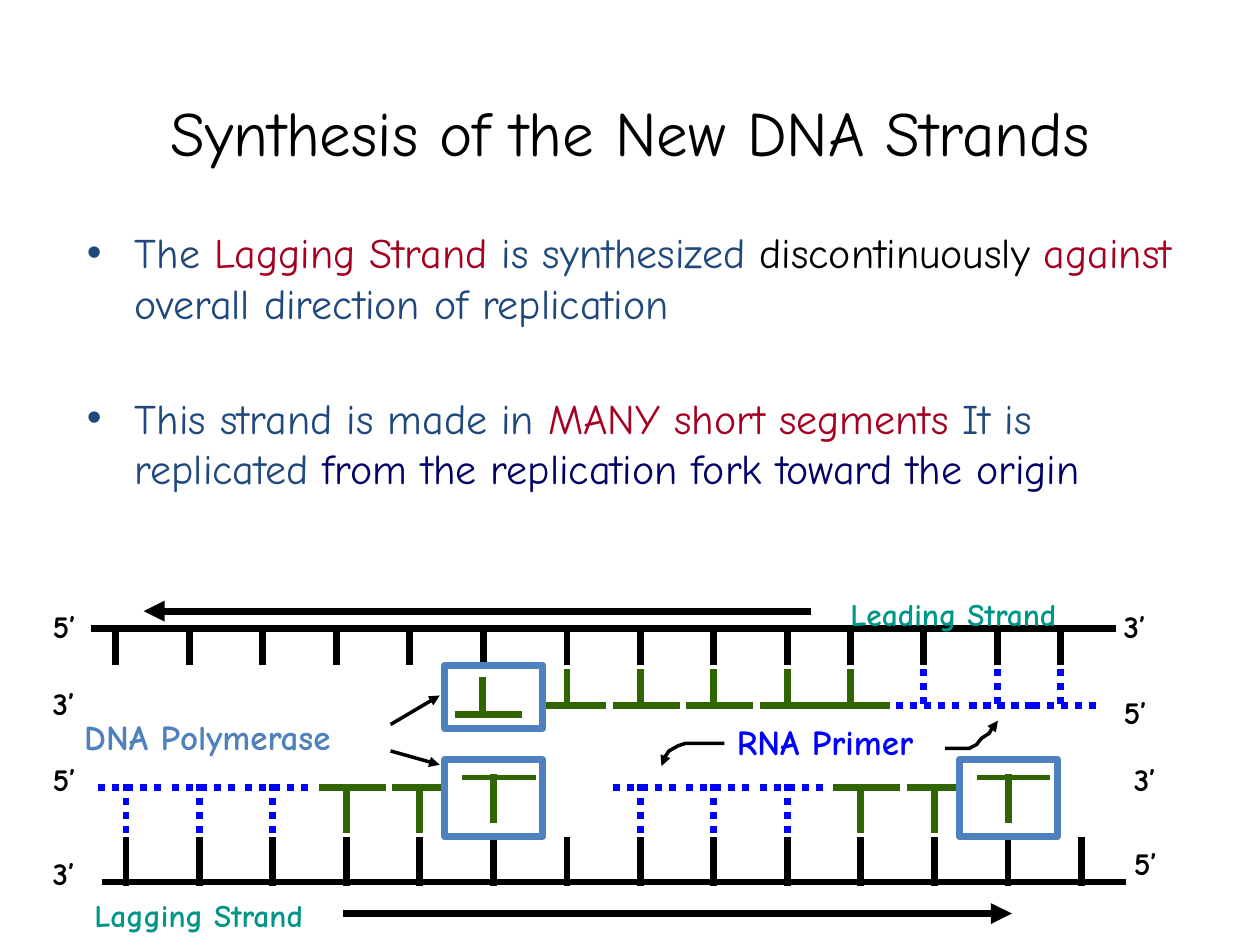
import pptx
import pptx.dml.color
import pptx.enum.dml
import pptx.enum.shapes
import pptx.enum.text
import pptx.oxml
import pptx.oxml.ns
import pptx.util
from pptx.util import Inches

FONT = "Comic Neue"
BLACK, GREEN, BLUE, STEEL, TEAL = "000000", "316501", "0000FF", "4F81BD", "009688"
NAVY, RED, INDIGO = "1F497D", "A50021", "000066"
PITCH = 7 / 12


def rgb(value):
    """Turn a hex string into a colour."""
    return pptx.dml.color.RGBColor.from_string(value)


def add_child(parent, tag, **attributes):
    """Append a drawing element with the given attributes."""
    child = pptx.oxml.parse_xml(f"<a:{tag} {pptx.oxml.ns.nsdecls('a')}/>")
    for key, value in attributes.items():
        child.set(key, value)
    parent.append(child)


def style_run(run, size, color, bold=False):
    """Format one run of text."""
    run.font.name = FONT
    run.font.size = pptx.util.Pt(size)
    run.font.bold = bold
    run.font.color.rgb = rgb(color)


def style_line(shape, color, weight, arrow=None):
    """Format a stroke; arrow names its pointed end, headEnd or tailEnd."""
    shape.line.color.rgb = rgb(color)
    shape.line.width = pptx.util.Pt(weight)
    if arrow:
        add_child(shape.line._get_or_add_ln(), arrow, type="triangle")


def add_line(slide, x1, y1, x2, y2, color=BLACK, weight=4, arrow=None, dotted=False):
    """Draw a straight line between two points in inches."""
    line = slide.shapes.add_connector(
        pptx.enum.shapes.MSO_CONNECTOR.STRAIGHT, Inches(x1), Inches(y1), Inches(x2), Inches(y2))
    style_line(line, color, weight)
    if dotted:
        line.line.dash_style = pptx.enum.dml.MSO_LINE.ROUND_DOT
    if arrow:
        add_child(line.line._get_or_add_ln(), arrow, type="triangle")
    add_child(line._element.spPr, "effectLst")


def add_label(slide, left, top, width, height, text, color=BLACK, size=18):
    """Place a bold one-line label."""
    label = slide.shapes.add_textbox(Inches(left), Inches(top), Inches(width), Inches(height))
    label.text_frame.word_wrap = False
    label.text_frame.text = text
    style_run(label.text_frame.paragraphs[0].runs[0], size, color, True)


def add_end(slide, left, top, text):
    """Mark a strand end as 5’ or 3’."""
    add_label(slide, left, top, 0.48, 0.5, text)


def add_curve(slide, left, top, offsets, arrow):
    """Draw a bent pointer through offsets from its box corner."""
    points = [(Inches(left + x), Inches(top + y)) for x, y in offsets]
    builder = slide.shapes.build_freeform(*points[0])
    builder.add_line_segments(points[1:], close=False)
    pointer = builder.convert_to_shape()
    pointer.shadow.inherit = False
    pointer.fill.background()
    style_line(pointer, BLACK, 2, arrow)


def add_nucleotides(slide, stems, bar, stem_top, stem_bottom, color):
    """Draw new bases as T shapes, dotted where they are primer."""
    dotted = color == BLUE
    for x in stems:
        add_line(slide, x, stem_top, x, stem_bottom, color, dotted=dotted)
        add_line(slide, x - 0.22, bar, x + 0.31, bar, color, dotted=dotted)


def add_polymerase(slide, left, top, height, bar, stem, weight):
    """Draw an enzyme box with one base; bar and stem are offsets in it."""
    enzyme = slide.shapes.add_shape(
        pptx.enum.shapes.MSO_SHAPE.RECTANGLE,
        Inches(left), Inches(top), Inches(0.78), Inches(height))
    enzyme.shadow.inherit = False
    enzyme.fill.solid()
    enzyme.fill.fore_color.rgb = rgb("FFFFFF")
    style_line(enzyme, STEEL, 4)
    bar_start, bar_end, bar_y = bar
    stem_x, stem_top, stem_bottom = stem
    add_line(slide, left + bar_start, top + bar_y, left + bar_end, top + bar_y, GREEN, weight)
    add_line(slide, left + stem_x, top + stem_top, left + stem_x, top + stem_bottom, GREEN)


def run_of(start, count):
    """List evenly pitched base positions."""
    return [start + PITCH * i for i in range(count)]


def add_title(slide, left, top, width, height):
    """Place the slide title."""
    title = slide.shapes.title
    title.left, title.top, title.width, title.height = map(Inches, (left, top, width, height))
    title.text_frame.text = "Synthesis of the New DNA Strands"
    title.text_frame.vertical_anchor = pptx.enum.text.MSO_ANCHOR.MIDDLE
    title.text_frame.paragraphs[0].alignment = pptx.enum.text.PP_ALIGN.CENTER
    style_run(title.text_frame.paragraphs[0].runs[0], 36, BLACK)


def add_bullets(slide, left, top, width, height):
    """Place the two bulleted statements."""
    statements = [
        [("The ", NAVY), ("Lagging Strand", RED), (" is synthesized ", NAVY),
         ("discontinuously ", BLACK), ("against", RED),
         (" overall direction of replication", NAVY)],
        [("This strand is made in ", NAVY), ("MANY short segments", RED),
         (" It is replicated ", NAVY),
         ("from the replication fork toward the origin", INDIGO)],
    ]
    body = slide.shapes.add_textbox(Inches(left), Inches(top), Inches(width), Inches(height))
    frame = body.text_frame
    frame.word_wrap = True
    for index, statement in enumerate(statements):
        paragraph = frame.add_paragraph() if index else frame.paragraphs[0]
        paragraph.space_before = pptx.util.Pt(37 if index else 4.8)
        properties = paragraph._p.get_or_add_pPr()
        properties.set("marL", str(Inches(0.38)))
        properties.set("indent", str(-Inches(0.38)))
        add_child(properties, "buFont", typeface="Arial")
        add_child(properties, "buChar", char="•")
        for text, color in statement:
            run = paragraph.add_run()
            run.text = text
            style_run(run, 24, color)


def add_leading_strand(slide, left, top):
    """Draw the upper duplex from its top left corner."""
    strand, bar = top + 0.32, top + 0.93
    primer = [*run_of(left + 7.01, 2), left + 7.6, left + 8.1]
    grown = [*run_of(left + 4.18, 4), left + 6.43]
    add_line(slide, left + 8.54, strand, left + 0.4, strand)
    for x in run_of(left + 0.6, 6) + grown + primer:
        add_line(slide, x, top + 0.61, x, top + 0.29)
    add_line(slide, left + 6.12, top + 0.18, left + 0.82, top + 0.18, arrow="tailEnd")
    add_label(slide, left + 6.33, top, 2.03, 0.4, "Leading Strand", TEAL)
    for stems, color in ((grown, GREEN), (primer, BLUE)):
        add_nucleotides(slide, stems, bar, top + 0.64, top + 0.96, color)
    add_polymerase(slide, left + 3.21, top + 0.61, 0.5,
                   (0.08, 0.61, 0.39), (0.3, 0.09, 0.41), 4)
    for x, y, text in ((0, 0.1, "5’"), (8.5, 0.78, "5’"), (8.5, 0.1, "3’"), (0, 0.71, "3’")):
        add_end(slide, left + x, top + y, text)


def add_lagging_strand(slide, left, top):
    """Draw the lower duplex with its two segments from its top left corner."""
    strand = top + 1.02
    for x in run_of(left + 0.68, 14):
        add_line(slide, x, top + 1.05, x, top + 0.66)
    add_line(slide, left + 8.62, strand, left + 0.49, strand)
    add_label(slide, left + 0.33, top + 1.08, 2.01, 0.4, "Lagging Strand", TEAL)
    add_line(slide, left + 7.71, top + 1.27, left + 2.4, top + 1.27, arrow="headEnd")
    for start in run_of(left + 0.68, 8)[::7]:
        stems = run_of(start, 5)
        for group, color in ((stems[:3], BLUE), (stems[3:], GREEN)):
            add_nucleotides(slide, group, top + 0.27, top + 0.24, top + 0.63, color)
        add_polymerase(slide, start + 2.53, top + 0.05, 0.61,
                       (0.14, 0.72, 0.14), (0.39, 0.11, 0.5), 3)
    for x, y, text in ((0, 0, "5’"), (8.58, 0.67, "5’"), (8.58, 0, "3’"), (0, 0.75, "3’")):
        add_end(slide, left + x, top + y, text)


def add_callouts(slide, left, top):
    """Name the enzyme and the primer and point to them."""
    add_label(slide, left, top + 0.11, 2.42, 0.43, "DNA Polymerase", STEEL, 20)
    add_label(slide, left + 5.18, top + 0.15, 1.79, 0.43, "RNA Primer", BLUE, 20)
    for start, end in ((0.23, 0), (0.44, 0.55)):
        add_line(slide, left + 2.53, top + start, left + 2.92, top + end,
                 weight=2, arrow="tailEnd")
    add_curve(slide, left + 6.93, top + 0.2,
              [(0, 0.22), (0.19, 0.22), (0.25, 0.19), (0.29, 0.14),
               (0.35, 0.1), (0.38, 0.05), (0.42, 0)], "tailEnd")
    add_curve(slide, left + 4.68, top + 0.38,
              [(0, 0.18), (0.02, 0.12), (0.06, 0.06), (0.13, 0.02),
               (0.19, 0), (0.5, 0)], "headEnd")


def main():
    """Build the slide and save it."""
    deck = pptx.Presentation()
    deck.slide_width, deck.slide_height = Inches(10), Inches(7.5)
    slide = deck.slides.add_slide(deck.slide_layouts[5])
    add_title(slide, 0.75, 0.42, 8.5, 1.25)
    add_bullets(slide, 0.59, 1.75, 8.99, 4.5)
    add_leading_strand(slide, 0.32, 4.67)
    add_lagging_strand(slide, 0.32, 5.98)
    add_callouts(slide, 0.57, 5.52)
    deck.save("out.pptx")


if __name__ == "__main__":
    main()
